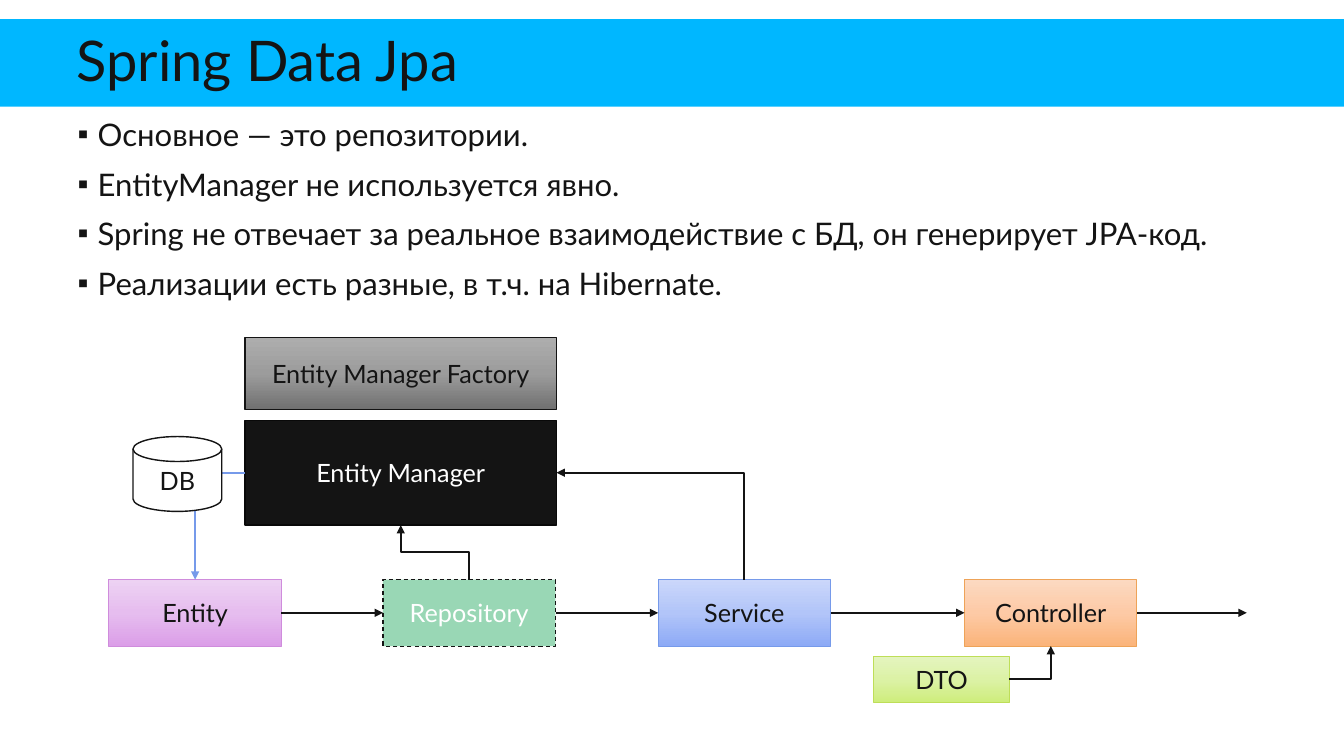
from copy import deepcopy

from lxml.etree import SubElement
from pptx import Presentation
from pptx.dml.color import RGBColor
from pptx.enum.dml import MSO_LINE
from pptx.enum.shapes import MSO_CONNECTOR, MSO_SHAPE
from pptx.enum.text import MSO_ANCHOR, MSO_AUTO_SIZE, PP_ALIGN
from pptx.oxml.ns import qn
from pptx.util import Pt

FONT = "Lato"
INK = "141414"
WHITE = "FFFFFF"
BLUE = "769AEA"
TOP, LEFT, BOTTOM, RIGHT = range(4)
BULLETS = [
    "Основное — это репозитории.",
    "EntityManager не используется явно.",
    "Spring не отвечает за реальное взаимодействие с БД, он генерирует JPA-код.",
    "Реализации есть разные, в т.ч. на Hibernate.",
]


def color(value):
    return RGBColor.from_string(value)


def set_font(para, size, value):
    para.font.name = FONT
    para.font.size = Pt(size)
    para.font.color.rgb = color(value)


def fill_shape(shape, colors):
    if len(colors) == 1:
        shape.fill.solid()
        shape.fill.fore_color.rgb = color(colors[0])
        return
    shape.fill.gradient()
    shape.fill.gradient_angle = 270
    stop_list = shape._element.spPr.find(".//" + qn("a:gsLst"))
    stop_list.append(deepcopy(stop_list[0]))
    for index, stop in enumerate(shape.fill.gradient_stops):
        stop.position = index / 2
        stop.color.rgb = color(colors[index])


def add_node(page, box, text, colors, outline, text_color=INK, width=0.75, kind=MSO_SHAPE.RECTANGLE):
    shape = page.shapes.add_shape(kind, *map(Pt, box))
    shape.shadow.inherit = False
    fill_shape(shape, colors)
    shape.line.color.rgb = color(outline)
    shape.line.width = Pt(width)
    shape.text_frame.vertical_anchor = MSO_ANCHOR.MIDDLE
    para = shape.text_frame.paragraphs[0]
    para.text = text
    para.alignment = PP_ALIGN.CENTER
    set_font(para, 18, text_color)
    return shape


def style_arrow(arrow, value=INK):
    arrow.line.color.rgb = color(value)
    arrow.line.width = Pt(1.5)
    SubElement(arrow.line._get_or_add_ln(), qn("a:tailEnd"), type="triangle")
    SubElement(arrow._element.spPr, qn("a:effectLst"))


def side_point(shape, side):
    x = {LEFT: shape.left, RIGHT: shape.left + shape.width}.get(side, shape.left + shape.width // 2)
    y = {TOP: shape.top, BOTTOM: shape.top + shape.height}.get(side, shape.top + shape.height // 2)
    return x, y


def add_straight(page, start, end):
    arrow = page.shapes.add_connector(MSO_CONNECTOR.STRAIGHT, 0, 0, 0, 0)
    arrow.begin_connect(start, RIGHT)
    arrow.end_connect(end, LEFT)
    style_arrow(arrow)


def add_elbow(page, start, end, rotation, preset="bentConnector2", value=INK):
    width, height = abs(end[0] - start[0]), abs(end[1] - start[1])
    if rotation == 270:
        width, height = height, width
    left = (start[0] + end[0] - width) // 2
    top = (start[1] + end[1] - height) // 2
    arrow = page.shapes.add_connector(MSO_CONNECTOR.ELBOW, left, top + height, left + width, top)
    properties = arrow._element.spPr
    properties.find(qn("a:xfrm")).set("rot", str(rotation * 60000))
    properties.find(qn("a:prstGeom")).set("prst", preset)
    style_arrow(arrow, value)


def place_text(holder, box):
    holder.left, holder.top, holder.width, holder.height = map(Pt, box)
    frame = holder.text_frame
    frame.margin_left = frame.margin_right = frame.margin_top = frame.margin_bottom = 0
    frame.auto_size = MSO_AUTO_SIZE.NONE
    frame.word_wrap = True
    return frame


def add_header(page, box):
    left, top, width, height = box
    band = page.shapes.add_shape(MSO_SHAPE.RECTANGLE, *map(Pt, box))
    band.shadow.inherit = False
    fill_shape(band, ["00B7FF"])
    band.line.fill.background()
    page.shapes._spTree.insert(2, band._element)
    frame = place_text(page.shapes.title, (left + 54.7, top + 8.6, 850.3, 47.5))
    frame.vertical_anchor = MSO_ANCHOR.MIDDLE
    para = frame.paragraphs[0]
    para.text = "Spring Data Jpa"
    para.alignment = PP_ALIGN.LEFT
    para.line_spacing = 0.85
    set_font(para, 40, INK)


def add_list(page, box):
    frame = place_text(page.placeholders[1], box)
    frame.vertical_anchor = MSO_ANCHOR.TOP
    frame.text = "\n".join(BULLETS)
    for para in frame.paragraphs:
        para.line_spacing = 0.8
        para.space_before = Pt(12)
        para.space_after = Pt(2)
        properties = para._p.get_or_add_pPr()
        properties.set("marL", str(Pt(14.4)))
        properties.set("indent", str(Pt(-14.4)))
        bullet_color = SubElement(properties, qn("a:buClr"))
        SubElement(bullet_color, qn("a:srgbClr"), val=INK)
        SubElement(properties, qn("a:buChar"), char="▪")
        set_font(para, 22.2, INK)


def add_diagram(page, box):
    left, top, width, height = box

    def node(x, y, node_width, node_height, *style, **options):
        return add_node(page, (left + x, top + y, node_width, node_height), *style, **options)

    def layer(x, *style):
        return node(x, 172.8, 123.2, 47.5, *style)

    entity = layer(0, "Entity", ["EDD2F3", "E6BDEF", "DB9EE8"], "CF8CDC")
    manager = node(97.2, 59, 222.5, 74.9, "Entity Manager", [INK], "090909", WHITE, width=1)
    repository = layer(195.8, "Repository", ["35B16D"], INK, WHITE)
    repository.line.dash_style = MSO_LINE.DASH
    tint = repository._element.spPr.find(qn("a:solidFill")).find(qn("a:srgbClr"))
    SubElement(tint, qn("a:alpha"), val="50000")
    service = layer(392.3, "Service", ["CBD7FA", "B2C5F9", "8DAAF6"], BLUE)
    controller = layer(611.2, "Controller", ["FCD9C1", "FDCAA6", "FBB47A"], "EEA358")
    transfer = node(546.4, 227.5, 96.8, 33.1, "DTO", ["E4F4BF", "DCF2A6", "CEED7C"], "BEDE58")

    add_elbow(page, side_point(repository, TOP), side_point(manager, BOTTOM), 270, "bentConnector3")
    add_elbow(page, side_point(manager, LEFT), side_point(entity, TOP), 180, value=BLUE)
    layers = [entity, repository, service, controller]
    for start, end in zip(layers, layers[1:]):
        add_straight(page, start, end)
    x, y = side_point(controller, RIGHT)
    outlet = page.shapes.add_connector(MSO_CONNECTOR.STRAIGHT, x, y, Pt(left + width), y)
    outlet.begin_connect(controller, RIGHT)
    style_arrow(outlet)
    add_elbow(page, side_point(service, TOP), side_point(manager, RIGHT), 270)

    node(17.2, 70.6, 63.4, 53.5, "DB", [WHITE], INK, width=1, kind=MSO_SHAPE.FLOWCHART_MAGNETIC_DISK)
    add_elbow(page, side_point(transfer, RIGHT), side_point(controller, BOTTOM), 0)
    node(97.2, 0, 222.5, 51.1, "Entity Manager Factory", ["ADADAD", "9C9C9C", "717171"], INK)


def main():
    deck = Presentation()
    deck.slide_width = Pt(960)
    deck.slide_height = Pt(540)
    page = deck.slides.add_slide(deck.slide_layouts[1])
    add_header(page, (0, 13.7, 960, 62.6))
    add_list(page, (55.4, 87.8, 850.3, 129.6))
    add_diagram(page, (77.8, 241.2, 812.8, 260.6))
    deck.save("out.pptx")


if __name__ == "__main__":
    main()
